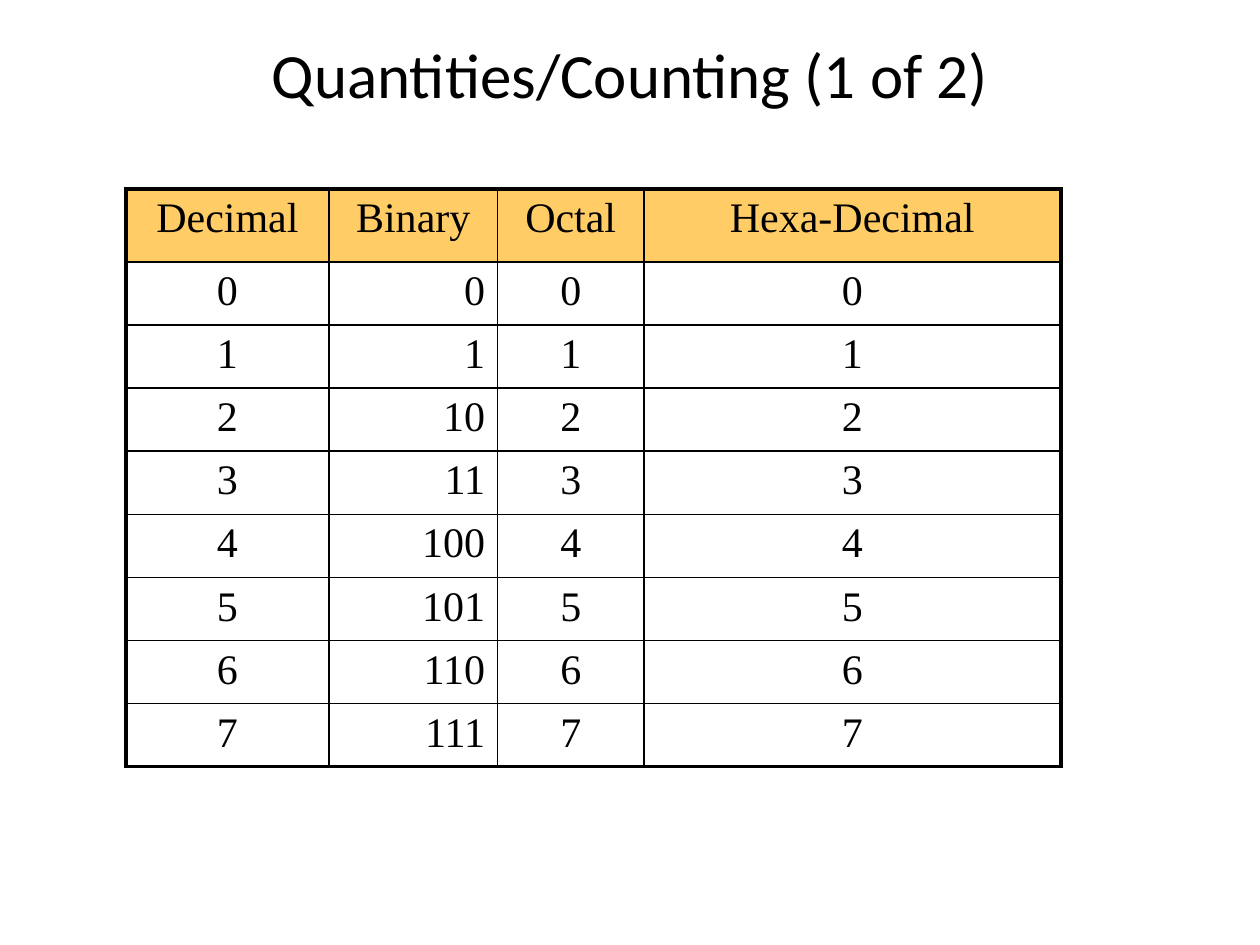
import pptx
import pptx.util
import pptx.dml.color
import pptx.enum.text
import pptx.oxml.ns
from lxml import etree

Inches = pptx.util.Inches
Pt = pptx.util.Pt
ALIGN = pptx.enum.text.PP_ALIGN
ANCHOR = pptx.enum.text.MSO_ANCHOR
COLORS = {"ink": "000000", "head": "FFCC66"}
HEADS = ["Decimal", "Binary", "Octal", "Hexa-Decimal"]
BASES = ["d", "b", "o", "X"]
WIDTHS = [1.61, 1.34, 1.16, 3.31]
THIN, THICK = 1, 2.25


def color(name):
    return pptx.dml.color.RGBColor.from_string(COLORS[name])


def write(frame, text, font="Times New Roman", size=24, ink="ink", align=ALIGN.CENTER):
    para = frame.paragraphs[0]
    para.alignment = align
    run = para.add_run()
    run.text = text
    run.font.name = font
    run.font.size = Pt(size)
    run.font.color.rgb = color(ink)


def border(cell, **sides):
    props = cell._tc.get_or_add_tcPr()
    qn = pptx.oxml.ns.qn
    for side in "LRTB":
        line = etree.SubElement(props, qn(f"a:ln{side}"), w=str(Pt(sides[side])))
        fill = etree.SubElement(line, qn("a:solidFill"))
        etree.SubElement(fill, qn("a:srgbClr"), val=COLORS["ink"])


def title(slide, left, top, width, height):
    box = slide.shapes.add_textbox(Inches(left), Inches(top), Inches(width), Inches(height))
    frame = box.text_frame
    frame.word_wrap = True
    frame.vertical_anchor = ANCHOR.MIDDLE
    write(frame, "Quantities/Counting (1 of 2)", font="Calibri", size=36)


def counts(slide, left, top, width, height):
    rows = [HEADS] + [[format(n, base) for base in BASES] for n in range(8)]
    table = slide.shapes.add_table(
        len(rows), len(HEADS), Inches(left), Inches(top), Inches(width), Inches(height)
    ).table
    table.first_row = False
    table.horz_banding = False
    for col, size in zip(table.columns, WIDTHS):
        col.width = Inches(size * width / sum(WIDTHS))
    first = 0.58
    for r, row in enumerate(rows):
        table.rows[r].height = Inches(first if r == 0 else (height - first) / (len(rows) - 1))
        for c, text in enumerate(row):
            cell = table.cell(r, c)
            border(
                cell,
                L=THICK if c == 0 else THIN,
                R=THICK if c == len(HEADS) - 1 else THIN,
                T=THICK if r == 0 else THIN,
                B=THICK if r == len(rows) - 1 else THIN,
            )
            if r == 0:
                cell.fill.solid()
                cell.fill.fore_color.rgb = color("head")
            else:
                cell.fill.background()
            right = r > 0 and HEADS[c] == "Binary"
            write(cell.text_frame, text, align=ALIGN.RIGHT if right else ALIGN.CENTER)


def main():
    deck = pptx.Presentation()
    deck.slide_width = Inches(10)
    deck.slide_height = Inches(7.5)
    slide = deck.slides.add_slide(deck.slide_layouts[6])
    title(slide, 0.75, 0.17, 8.5, 0.83)
    counts(slide, 1, 1.5, 7.42, 4.57)
    deck.save("out.pptx")


if __name__ == "__main__":
    main()
